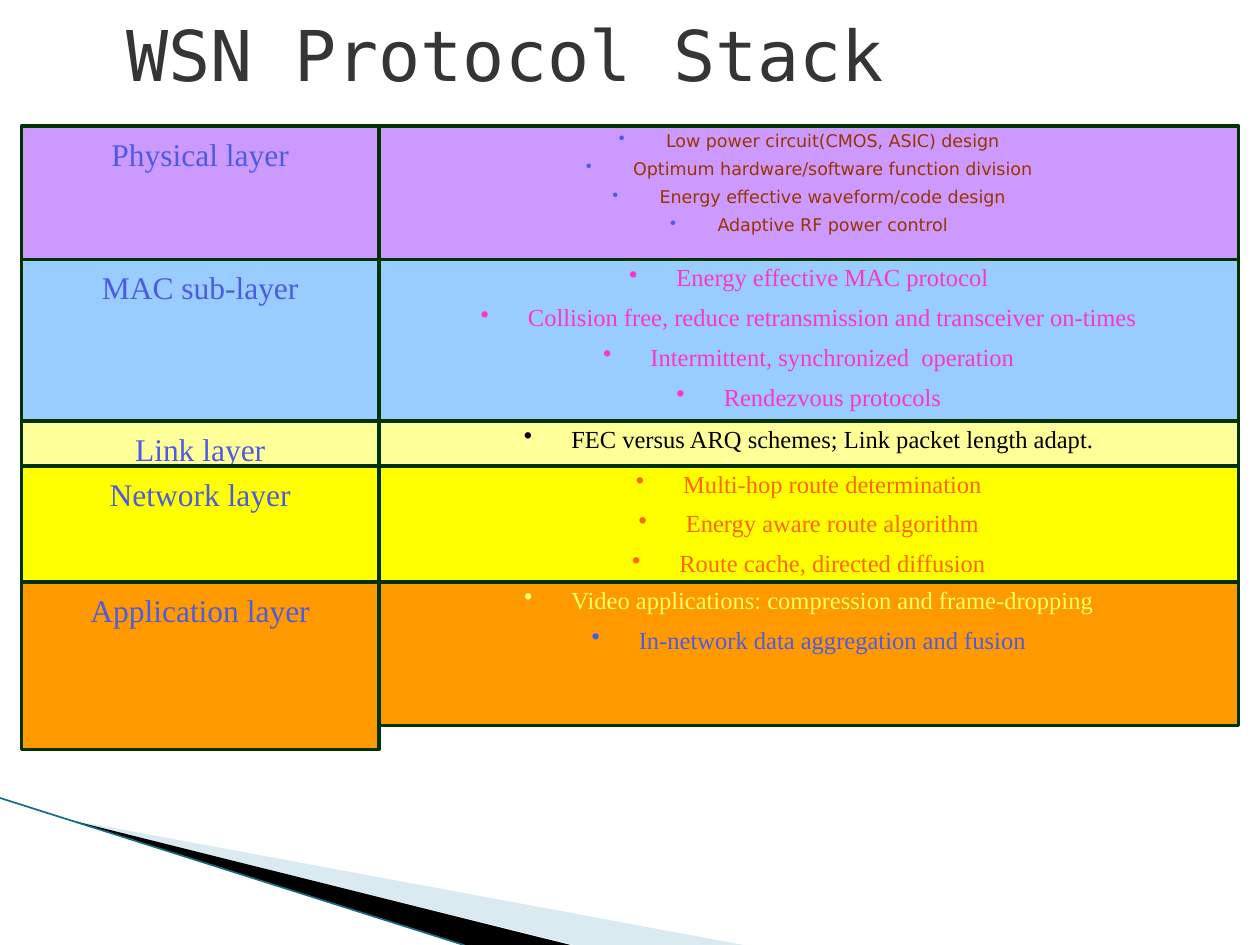
import pptx
import pptx.dml.color
import pptx.enum.shapes
import pptx.enum.text
import pptx.oxml
import pptx.oxml.ns
import pptx.util

Pt = pptx.util.Pt
ALIGN = pptx.enum.text.PP_ALIGN
ANCHOR = pptx.enum.text.MSO_ANCHOR
SERIF, SANS, MONO = "Times New Roman", "DejaVu Sans", "DejaVu Sans Mono"
BLUE, PINK, ORANGE = "4D5BE3", "FF33CC", "FF6600"

# Each layer: name, fill, name height, detail height, font, size, space before, items
LAYERS = [
    ("Physical layer", "CC99FF", 95.8, 76.3, SANS, 10, 5.3, [
        ("Low power circuit(CMOS, ASIC) design", "993300"),
        ("Optimum hardware/software function division", "993300"),
        ("Energy effective waveform/code design", "993300"),
        ("Adaptive RF power control", "993300")]),
    ("MAC sub-layer", "99CCFF", 128.2, 92.2, SERIF, 14, 7.6, [
        ("Energy effective MAC protocol", PINK),
        ("Collision free, reduce retransmission and transceiver on-times", PINK),
        ("Intermittent, synchronized  operation", PINK),
        ("Rendezvous protocols", PINK)]),
    ("Link layer", "FFFF99", 31, 25.7, SERIF, 14, 7.6, [
        ("FEC versus ARQ schemes; Link packet length adapt.", "000000")]),
    ("Network layer", "FFFF00", 95.8, 66.4, SERIF, 14, 7.6, [
        ("Multi-hop route determination", ORANGE),
        ("Energy aware route algorithm", ORANGE),
        ("Route cache, directed diffusion", ORANGE)]),
    ("Application layer", "FF9900", 95.8, 82, SERIF, 14, 7.6, [
        ("Video applications: compression and frame-dropping", "FFFF66"),
        ("In-network data aggregation and fusion", BLUE)]),
]


def color(value):
    """Return the colour for a hex string."""
    return pptx.dml.color.RGBColor.from_string(value)


def add_xml(parent, xml):
    """Append a drawing element, given as XML, to the parent."""
    parent.append(pptx.oxml.parse_xml(xml.replace("/>", f' {pptx.oxml.ns.nsdecls("a")}/>')))


def add_run(p, text, font, size, value):
    """Add a formatted run to a paragraph."""
    r = p.add_run()
    r.text = text
    r.font.name, r.font.size = font, Pt(size)
    r.font.color.rgb = color(value)


def add_title(s, text, x, y, w, h):
    """Place the slide title in its placeholder."""
    sp = s.shapes.title
    sp.left, sp.top, sp.width, sp.height = Pt(x), Pt(y), Pt(w), Pt(h)
    tf = sp.text_frame
    tf.vertical_anchor = ANCHOR.MIDDLE
    tf.paragraphs[0].alignment = ALIGN.LEFT
    add_run(tf.paragraphs[0], text, MONO, 40, "353535")


def add_cell(s, x, y, w, h, fill, inset):
    """Draw an outlined box and return its text frame."""
    sp = s.shapes.add_shape(pptx.enum.shapes.MSO_SHAPE.RECTANGLE, Pt(x), Pt(y), Pt(w), Pt(h))
    sp.shadow.inherit = False
    sp.fill.solid()
    sp.fill.fore_color.rgb = color(fill)
    sp.line.color.rgb = color("003300")
    sp.line.width = Pt(2)
    tf = sp.text_frame
    tf.word_wrap = True
    tf.vertical_anchor = ANCHOR.TOP
    tf.margin_top = Pt(inset)
    return tf


def add_items(tf, items, font, size, gap):
    """Fill a text frame with centred bullet items."""
    for i, (text, value) in enumerate(items):
        p = tf.add_paragraph() if i else tf.paragraphs[0]
        p.alignment = ALIGN.CENTER
        p.line_spacing = 0.9
        p.space_before = Pt(gap if i else 0)
        pPr = p._p.get_or_add_pPr()
        pPr.set("marL", str(Pt(27)))
        pPr.set("indent", str(-Pt(27)))
        if font == SANS:
            add_xml(pPr, f'<a:buClr {pptx.oxml.ns.nsdecls("a")}><a:srgbClr val="{BLUE}"/></a:buClr>')
        add_xml(pPr, '<a:buChar char="•"/>')
        add_run(p, text, font, size, value)


def add_stack(s, x, y, w):
    """Draw the layer names on the left and their details on the right."""
    name_w = 204.5
    for name, fill, name_h, h, font, size, gap, items in LAYERS:
        tf = add_cell(s, x, y, name_w, name_h, fill, 5)
        tf.paragraphs[0].alignment = ALIGN.CENTER
        add_run(tf.paragraphs[0], name, SERIF, 18, BLUE)
        tf = add_cell(s, x + name_w, y, w - name_w, h, fill, 3.6)
        add_items(tf, items, font, size, gap)
        y += h


def add_wedge(s, points, fill, alpha):
    """Draw a filled outline through the points."""
    pts = [(Pt(x), Pt(y)) for x, y in points]
    fb = s.shapes.build_freeform(*pts[0])
    fb.add_line_segments(pts[1:])
    sp = fb.convert_to_shape()
    sp.shadow.inherit = False
    sp.fill.solid()
    sp.fill.fore_color.rgb = color(fill)
    sp.line.fill.background()
    add_xml(sp.fill._xPr.solidFill[0], f'<a:alpha val="{alpha * 1000}"/>')


def add_swoosh(s, x, y, bottom):
    """Draw the corner decoration from its left tip down to the bottom edge."""
    tip = (x + 39, y + 12.3)
    add_wedge(s, [tip, (x + 425, bottom), (x + 328, bottom)], "A0CBDC", 40)
    add_wedge(s, [tip, (x + 326, bottom), (x + 266, bottom)], "000000", 100)
    sp = s.shapes.add_connector(pptx.enum.shapes.MSO_CONNECTOR.STRAIGHT,
                                Pt(x), Pt(y), Pt(x + 265), Pt(bottom))
    sp.line.color.rgb = color("176D80")
    sp.line.width = Pt(0.95)
    add_xml(sp._element.spPr, "<a:effectLst/>")


def main():
    """Build the slide and save it."""
    prs = pptx.Presentation()
    prs.slide_width, prs.slide_height = Pt(720), Pt(540)
    s = prs.slides.add_slide(prs.slide_layouts[5])
    add_swoosh(s, 0, 456, 540)
    add_title(s, "WSN Protocol Stack", 64.8, 2.9, 655, 55.4)
    add_stack(s, 12.2, 72, 695.6)
    prs.save("out.pptx")


if __name__ == "__main__":
    main()
